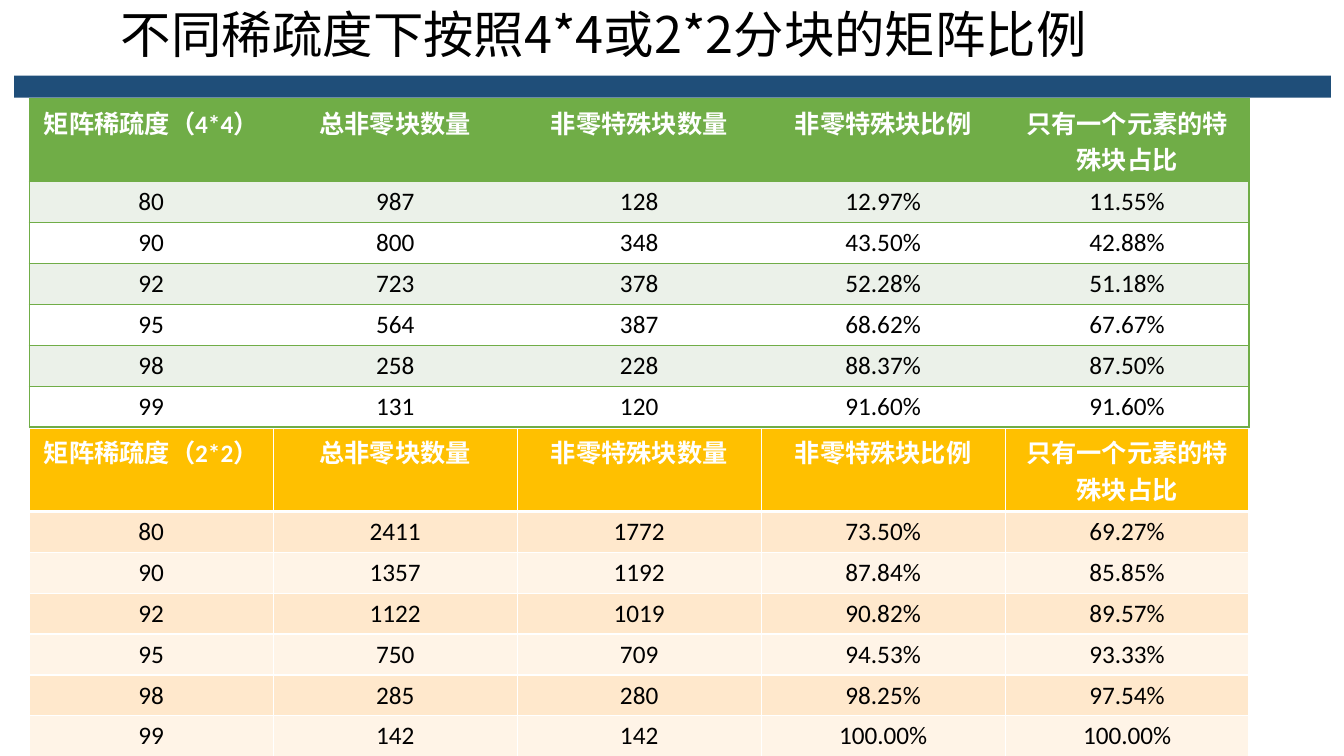
from dataclasses import dataclass

from lxml import etree
from pptx import Presentation
from pptx import util as u
from pptx.dml.color import RGBColor
from pptx.enum import shapes, text
from pptx.oxml import ns
from pptx.util import Inches


@dataclass(frozen=True)
class Theme:
    title_font: str = "Noto Sans CJK SC"
    table_font: str = "Calibri"
    title_size: int = 36
    table_size: int = 18
    bar: str = "1F4E79"
    ink: str = "000000"
    white: str = "FFFFFF"
    green: str = "70AD47"
    green_band: str = "EBF1E9"
    gold: str = "FFC000"
    gold_dark_band: str = "FFE8CC"
    gold_light_band: str = "FFF4E7"


theme = Theme()


def add_run(paragraph, words, font_name, size, color, bold=False):
    run = paragraph.add_run()
    run.text = words
    run.font.name = font_name
    run.font.size = u.Pt(size)
    run.font.bold = bold
    run.font.color.rgb = RGBColor.from_string(color)
    east_asian = etree.SubElement(run.font._element, ns.qn("a:ea"))
    east_asian.set("typeface", theme.title_font)


def set_borders(cell, borders):
    """Draw each side from (colour, points); None leaves the side empty."""
    properties = cell._tc.get_or_add_tcPr()
    for position, side in enumerate("LRTB"):
        line = etree.Element(ns.qn(f"a:ln{side}"))
        if borders[side] is None:
            etree.SubElement(line, ns.qn("a:noFill"))
        else:
            color, points = borders[side]
            line.set("w", str(u.Pt(points)))
            fill = etree.SubElement(line, ns.qn("a:solidFill"))
            etree.SubElement(fill, ns.qn("a:srgbClr")).set("val", color)
        properties.insert(position, line)


presentation = Presentation()
presentation.slide_width = Inches(13.33)
presentation.slide_height = Inches(7.5)
slide = presentation.slides.add_slide(presentation.slide_layouts[5])

# Title
title = slide.shapes.title
title.left, title.top = Inches(1.1), Inches(0.04)
title.width, title.height = Inches(11.5), Inches(0.65)
title.text_frame.auto_size = text.MSO_AUTO_SIZE.NONE
title.text_frame.vertical_anchor = text.MSO_ANCHOR.MIDDLE
paragraph = title.text_frame.paragraphs[0]
paragraph.alignment = text.PP_ALIGN.LEFT
paragraph.line_spacing = 0.9
add_run(paragraph, "不同稀疏度下按照4*4或2*2分块的矩阵比例",
        theme.title_font, theme.title_size, theme.ink)

# Bar under the title
bar = slide.shapes.add_shape(shapes.MSO_SHAPE.RECTANGLE, Inches(0.14), Inches(0.75),
                             Inches(13.06), Inches(0.22))
bar.shadow.inherit = False
bar.fill.solid()
bar.fill.fore_color.rgb = RGBColor.from_string(theme.bar)
bar.line.fill.background()

# Table contents and looks
headings = ["总非零块数量", "非零特殊块数量", "非零特殊块比例", "只有一个元素的特殊块占比"]
block_tables = [
    {
        "block": "4*4", "top": 0.98, "header": theme.green,
        "bands": (theme.green_band, theme.white), "ruled": True,
        "rows": [
            ("80", "987", "128", "12.97%", "11.55%"),
            ("90", "800", "348", "43.50%", "42.88%"),
            ("92", "723", "378", "52.28%", "51.18%"),
            ("95", "564", "387", "68.62%", "67.67%"),
            ("98", "258", "228", "88.37%", "87.50%"),
            ("99", "131", "120", "91.60%", "91.60%"),
        ],
    },
    {
        "block": "2*2", "top": 4.25, "header": theme.gold,
        "bands": (theme.gold_dark_band, theme.gold_light_band), "ruled": False,
        "rows": [
            ("80", "2411", "1772", "73.50%", "69.27%"),
            ("90", "1357", "1192", "87.84%", "85.85%"),
            ("92", "1122", "1019", "90.82%", "89.57%"),
            ("95", "750", "709", "94.53%", "93.33%"),
            ("98", "285", "280", "98.25%", "97.54%"),
            ("99", "142", "142", "100.00%", "100.00%"),
        ],
    },
]
column_width, header_height, row_height = 2.42, 0.82, 0.4

# Tables
for block_table in block_tables:
    rows = [(f"矩阵稀疏度（{block_table['block']}）", *headings), *block_table["rows"]]
    column_count = len(rows[0])
    table = slide.shapes.add_table(
        len(rows), column_count, Inches(0.29), Inches(block_table["top"]),
        Inches(column_width * column_count),
        Inches(header_height + row_height * (len(rows) - 1))).table
    for column in table.columns:
        column.width = Inches(column_width)

    for row_index, values in enumerate(rows):
        is_header = row_index == 0
        table.rows[row_index].height = Inches(header_height if is_header else row_height)
        band = block_table["bands"][(row_index - 1) % 2]
        for column_index, value in enumerate(values):
            cell = table.cell(row_index, column_index)
            cell.fill.solid()
            cell.fill.fore_color.rgb = RGBColor.from_string(
                block_table["header"] if is_header else band)
            paragraph = cell.text_frame.paragraphs[0]
            paragraph.alignment = text.PP_ALIGN.CENTER
            add_run(paragraph, value, theme.table_font, theme.table_size,
                    theme.white if is_header else theme.ink, is_header)

            if block_table["ruled"]:
                edge = (theme.green, 1)
                borders = {"L": edge if column_index == 0 else None,
                           "R": edge if column_index == column_count - 1 else None,
                           "T": edge, "B": edge}
            else:
                borders = dict.fromkeys("LRTB", (theme.white, 1))
                if is_header:
                    borders["B"] = (theme.white, 3)
                elif row_index == 1:
                    borders["T"] = (theme.white, 3)
            set_borders(cell, borders)

presentation.save("out.pptx")
